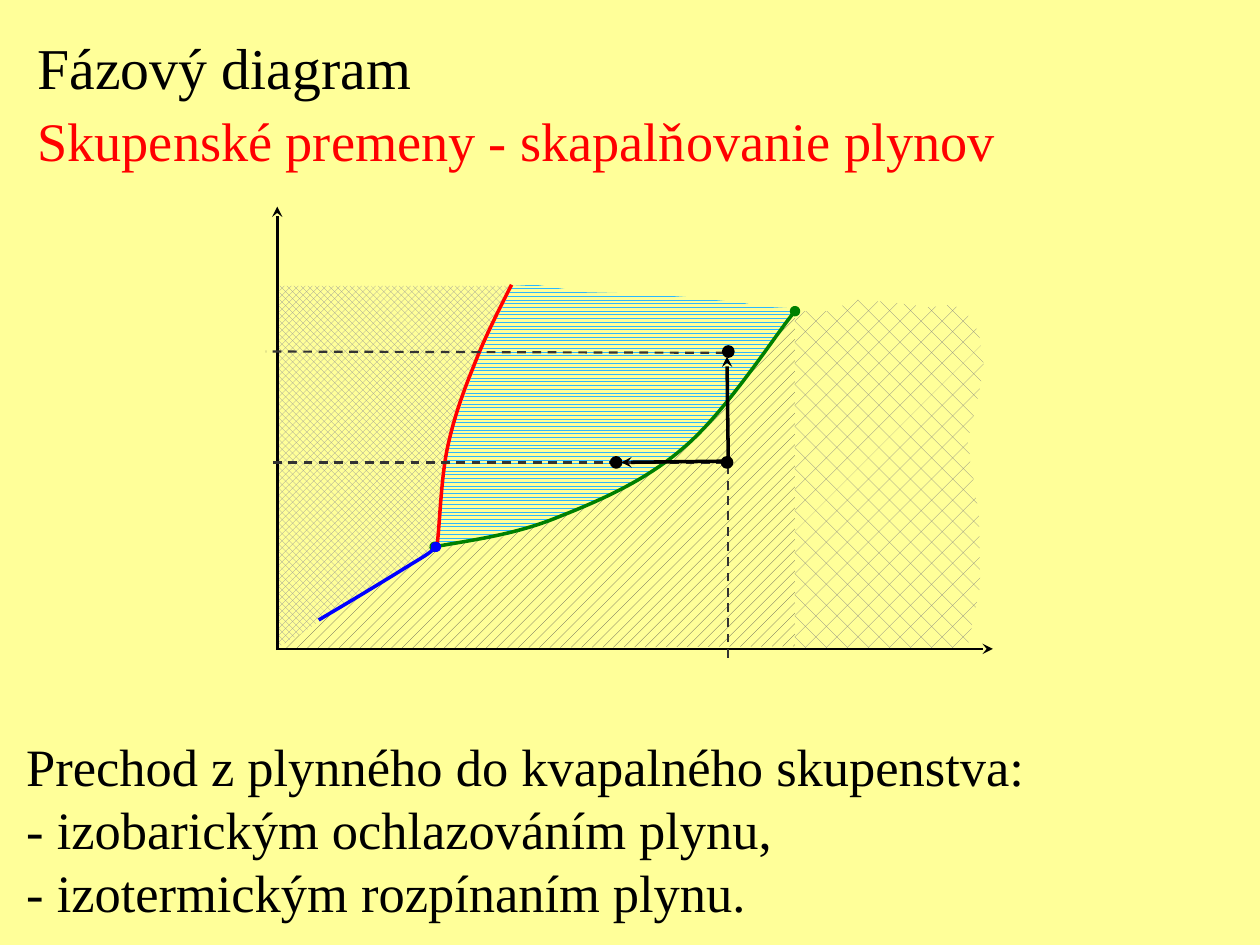
from lxml import etree
from pptx import Presentation
from pptx.dml.color import RGBColor
from pptx.enum.dml import MSO_LINE, MSO_PATTERN
from pptx.enum.shapes import MSO_CONNECTOR, MSO_SHAPE
from pptx.enum.text import MSO_AUTO_SIZE
from pptx.oxml.ns import qn
from pptx.util import Pt

PX = 9144  # 100 px to the inch
STRAIGHT, OVAL = MSO_CONNECTOR.STRAIGHT, MSO_SHAPE.OVAL
DASH, GROW = MSO_LINE.DASH, MSO_AUTO_SIZE.SHAPE_TO_FIT_TEXT
FONT, PAPER, BLACK, GUIDE = "Times New Roman", "FFFF99", "000000", "333333"

# Text blocks: box, then (text, size, colour, space after)
TEXTS = [
    ((20, 20, 788, 123), [
        ("Fázový diagram", 33, BLACK, 4),
        ("Skupenské premeny - skapalňovanie plynov", 31, "FF0000", 0)]),
    ((11, 578, 814, 162), [
        ("Prechod z plynného do kvapalného skupenstva:", 30, BLACK, 0),
        ("- izobarickým ochlazováním plynu,", 30, BLACK, 0),
        ("- izotermickým rozpínaním plynu.", 30, BLACK, 0)]),
]

# Phase regions: pattern, colour, outline
GAS = ("pct20", "4D4D4D", [
    (220, 515), (631, 513), (631, 246), (589, 304), (562, 335), (539, 359),
    (504, 383), (469, 399), (424, 417), (347, 435), (265, 486)])
SUPERCRITICAL = ("dotDmnd", "808080", [
    (631, 514), (768, 514), (778, 465), (777, 409), (768, 350), (777, 312),
    (781, 291), (777, 264), (765, 245), (753, 242), (738, 244), (708, 240),
    (681, 238), (657, 247), (631, 247)])
LIQUID = ("zigZag", "2BB8FF", [
    (348, 432), (399, 426), (454, 407), (507, 381), (538, 360), (571, 326),
    (633, 245), (580, 242), (594, 241), (547, 236), (505, 233), (465, 232),
    (425, 226), (407, 227), (381, 281), (355, 352)])
SOLID = ("openDmnd", "969696", [
    (220, 514), (242, 501), (347, 433), (353, 355), (376, 287), (406, 227),
    (222, 227)])

# Phase boundaries: colour, ends, Bézier start and control points
MELTING = ("FF0000", {}, [
    (406, 226), (401, 236), (385, 267), (377, 288), (368, 310), (360, 332),
    (355, 356), (350, 380), (349, 416), (347, 432)])
BOILING = ("008000", {"head": "oval", "tail": "oval"}, [
    (631, 247), (616, 265), (575, 328), (543, 355), (511, 383), (472, 399),
    (439, 412), (406, 425), (365, 430), (345, 434)])
SUBLIMATION = ("0000FF", {"tail": "oval"}, [
    (253, 492), (282, 475), (310, 458), (326, 448), (341, 439), (343, 437),
    (346, 434)])

AXES = [((220, 516), (220, 164)), ((220, 515), (788, 515))]
PROCESSES = [((577, 366), (493, 367)), ((578, 365), (577, 283))]
STATE_GUIDE = [(578, 522), (578, 367), (213, 367)]
PRESSURE_GUIDE = ((575, 280), (211, 279))
STATES = [(574, 275), (485, 363), (573, 363)]
STATE_SIZE = 8


def rgb(value):
    return RGBColor.from_string(value)


def style_line(shape, color, width, dash=None, **ends):
    line = shape.line
    line.color.rgb = rgb(color)
    line.width = Pt(width)
    if dash:
        line.dash_style = dash
    ln = shape._element.spPr.find(qn("a:ln"))
    for end in ("head", "tail"):
        if end in ends:
            etree.SubElement(ln, qn(f"a:{end}End"), type=ends[end])


def add_outline(points, close):
    emu = [(x * PX, y * PX) for x, y in points]
    builder = shapes.build_freeform(*emu[0])
    builder.add_line_segments(emu[1:], close=close)
    shape = builder.convert_to_shape()
    shape.shadow.inherit = False
    return shape


def add_region(pattern, color, points):
    region = add_outline(points, True)
    fill = region.fill
    fill.patterned()
    fill.pattern = MSO_PATTERN.from_xml(pattern)
    fill.fore_color.rgb = rgb(color)
    fill.back_color.rgb = rgb(PAPER)
    region.line.fill.background()


def add_boundary(color, ends, points):
    boundary = add_outline(points, False)
    boundary.fill.background()
    # Every three segments become one Bézier curve
    segments = list(boundary._element.iter(qn("a:lnTo")))
    for i in range(0, len(segments), 3):
        curve = etree.SubElement(segments[i].getparent(), qn("a:cubicBezTo"))
        for segment in segments[i:i + 3]:
            curve.append(segment[0])
            segment.getparent().remove(segment)
    style_line(boundary, color, 2, **ends)


def add_straight(start, end, color, width, **style):
    ends = [v * PX for v in (*start, *end)]
    straight = shapes.add_connector(STRAIGHT, *ends)
    style_line(straight, color, width, **style)
    etree.SubElement(straight._element.spPr, qn("a:effectLst"))


def add_text(box, lines):
    frame = shapes.add_textbox(*(v * PX for v in box)).text_frame
    frame.word_wrap = False
    frame.auto_size = GROW
    for i, (text, size, color, after) in enumerate(lines):
        paragraph = frame.add_paragraph() if i else frame.paragraphs[0]
        paragraph.text = text
        paragraph.space_after = Pt(after)
        font = paragraph.font
        font.name, font.size = FONT, Pt(size)
        font.color.rgb = rgb(color)


prs = Presentation()
prs.slide_width, prs.slide_height = 1000 * PX, 750 * PX
slide = prs.slides.add_slide(prs.slide_layouts[6])
slide.background.fill.solid()
slide.background.fill.fore_color.rgb = rgb(PAPER)
shapes = slide.shapes

# Phase diagram
for phase in (GAS, SUPERCRITICAL, LIQUID, SOLID):
    add_region(*phase)
add_boundary(*MELTING)
for axis in AXES:
    add_straight(*axis, BLACK, 1.5, tail="stealth")
add_boundary(*BOILING)
add_boundary(*SUBLIMATION)

# Heading and explanation
for block in TEXTS:
    add_text(*block)

# Liquefaction processes, their guides and states
state_guide = add_outline(STATE_GUIDE, False)
state_guide.fill.background()
style_line(state_guide, GUIDE, 1.25, DASH)
for process in PROCESSES:
    add_straight(*process, BLACK, 2, tail="stealth")
add_straight(*PRESSURE_GUIDE, GUIDE, 1.25, dash=DASH)
for x, y in STATES:
    state = shapes.add_shape(OVAL, x * PX, y * PX,
                             STATE_SIZE * PX, STATE_SIZE * PX)
    state.shadow.inherit = False
    state.fill.solid()
    state.fill.fore_color.rgb = rgb(BLACK)
    style_line(state, BLACK, 1.5)

prs.save("out.pptx")
